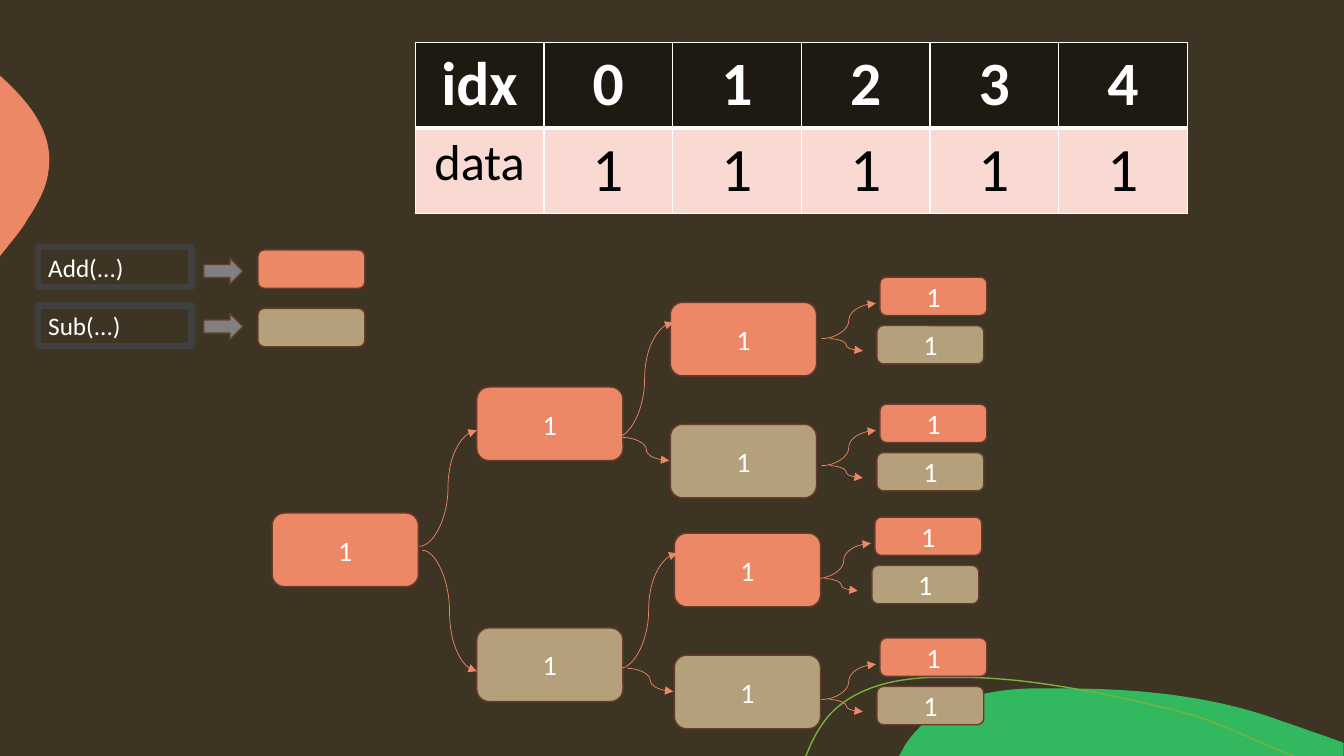
import pptx
import pptx.dml.color
import pptx.enum.shapes
import pptx.enum.text
import pptx.oxml.ns
import pptx.util
from lxml import etree

CORAL, TAN, RUST = "ED8866", "B4A07B", "683C2D"
WHITE, BLACK, GRAY = "FFFFFF", "000000", "808080"
KIND = pptx.enum.shapes.MSO_SHAPE
ALIGN = pptx.enum.text.PP_ALIGN
qn = pptx.oxml.ns.qn

SMALL = (10.6, 3.8)
LARGE = (14.5, 7.3)
ARROW = (3.9, 2.6)

GREEN_HILL = [
    (105.4, 68.3),
    [(112.8, 68.3), (120.4, 69), (127.3, 71.6)],
    [(128.6, 72), (129.8, 72.5), (131.1, 72.9)],
    [(133.3, 73.7)], [(133.3, 75)], [(89.2, 75)], [(89.8, 73.9)],
    [(90.2, 73.3), (90.6, 72.8), (91.1, 72.3)],
    [(93.9, 69.3), (98.2, 68.4), (102.3, 68.3)],
    [(103.3, 68.3), (104.3, 68.3), (105.4, 68.3)],
]
CORAL_BLOB = [
    (0, 7.5), [(0.1, 7.6)],
    [(3, 10.2), (5.4, 13.3), (4.8, 17)],
    [(4.6, 18.7), (3.7, 20.3), (2.7, 21.8)],
    [(2.4, 22.4), (1.7, 23.3), (0.8, 24.4)], [(0, 25.4)],
]
GREEN_ARC = [
    (79.9, 75), [(80, 74.9)],
    [(80.6, 73.3), (81.4, 71.9), (82.4, 70.8)],
    [(85, 68.1), (88.9, 67.3), (92.6, 67.2)], [(95.5, 67.2)],
    [(102.2, 67.2), (110, 68.9), (115.5, 70.2)],
    [(120.9, 71.5), (122.6, 72.7), (128.3, 75)],
]


def unit(count):
    """Length of a number of grid cells, ten to the inch."""
    return pptx.util.Inches(count / 10)


def color(code):
    return pptx.dml.color.RGBColor.from_string(code)


def paint(shape, fill=None, line=None, width=1):
    shape.shadow.inherit = False
    if fill:
        shape.fill.solid()
        shape.fill.fore_color.rgb = color(fill)
    else:
        shape.fill.background()
    if line:
        shape.line.color.rgb = color(line)
        shape.line.width = pptx.util.Pt(width)
    else:
        shape.line.fill.background()


def write(frame, text, size, ink=WHITE, bold=False, align=ALIGN.CENTER):
    frame.text = text
    para = frame.paragraphs[0]
    para.alignment = align
    font = para.runs[0].font
    font.name = "Calibri"
    font.size = pptx.util.Pt(size)
    font.bold = bold
    font.color.rgb = color(ink)


def bend(shape, parts):
    """Turn each segment given by three points into a Bezier curve."""
    for part, node in zip(parts, list(shape.element.iter(qn("a:lnTo")))):
        if len(part) == 3:
            node.tag = qn("a:cubicBezTo")
            for spot, (x, y) in enumerate(part[:2]):
                node.insert(spot, etree.Element(
                    qn("a:pt"), x=str(unit(x) - shape.left),
                    y=str(unit(y) - shape.top)))


def add_blob(slide, outline, fill=None, line=None):
    start, *parts = outline
    pen = slide.shapes.build_freeform(*map(unit, start))
    ends = [tuple(map(unit, part[-1])) for part in parts]
    pen.add_line_segments(ends, close=fill is not None)
    shape = pen.convert_to_shape()
    bend_parts = parts
    paint(shape, fill, line)
    bend(shape, bend_parts)


def add_shape(slide, kind, at, size, fill=None, line=RUST, width=1):
    shape = slide.shapes.add_shape(kind, *map(unit, (*at, *size)))
    paint(shape, fill, line, width)
    return shape


def add_node(slide, at, size, fill, text=""):
    node = add_shape(slide, KIND.ROUNDED_RECTANGLE, at, size, fill)
    if text:
        write(node.text_frame, text, 20)
        node.text_frame.vertical_anchor = pptx.enum.text.MSO_ANCHOR.MIDDLE


def add_arm(slide, ends):
    kind = pptx.enum.shapes.MSO_CONNECTOR.CURVE
    arm = slide.shapes.add_connector(kind, *map(unit, ends))
    arm.line.color.rgb = color(CORAL)
    arm.line.width = pptx.util.Pt(0.5)
    props = arm.element.spPr
    etree.SubElement(props.find(qn("a:ln")), qn("a:tailEnd"), type="triangle")
    etree.SubElement(props, qn("a:effectLst"))


def add_fork(slide, at, size, step, arms):
    """A coral and a tan node, with the arms that reach them."""
    x, y = at
    add_node(slide, at, size, CORAL, "1")
    add_node(slide, (x + step[0], y + step[1]), size, TAN, "1")
    for x1, y1, x2, y2 in arms:
        add_arm(slide, (x + x1, y + y1, x + x2, y + y2))


def add_edge(cell, side, width):
    props = cell._tc.get_or_add_tcPr()
    edge = etree.SubElement(props, qn("a:ln" + side), w=str(pptx.util.Pt(width)))
    fill = etree.SubElement(edge, qn("a:solidFill"))
    etree.SubElement(fill, qn("a:srgbClr"), val=WHITE)


def add_grid(slide, rows, at, size):
    frame = slide.shapes.add_table(
        len(rows), len(rows[0]), *map(unit, (*at, *size)))
    for r, row in enumerate(rows):
        head = r == 0
        for c, text in enumerate(row):
            cell = frame.table.cell(r, c)
            for side in "LRT":
                add_edge(cell, side, 1)
            add_edge(cell, "B", 3 if head else 1)
            cell.fill.solid()
            cell.fill.fore_color.rgb = color("1E1A12" if head else "F8DAD3")
            write(cell.text_frame, text, 36 if text == "data" else 44,
                  WHITE if head else BLACK, head)


def add_key(slide, row, label, fill, drop):
    add_node(slide, (25.6, row), SMALL, fill)
    box = add_shape(slide, KIND.RECTANGLE, (3.8, row - 0.3), (15.2, 4),
                    line="404040", width=4.5)
    write(box.text_frame, label, 18, align=ALIGN.LEFT)
    add_shape(slide, KIND.RIGHT_ARROW, (20.2, row + drop), ARROW, GRAY)


def main():
    deck = pptx.Presentation()
    deck.slide_width, deck.slide_height = unit(133.33), unit(75)
    slide = deck.slides.add_slide(deck.slide_layouts[6])
    slide.background.fill.solid()
    slide.background.fill.fore_color.rgb = color("3D3423")

    add_blob(slide, GREEN_HILL, fill="32B960")
    add_blob(slide, CORAL_BLOB, fill=CORAL)
    add_blob(slide, GREEN_ARC, line="77B33C")
    add_grid(slide, [["idx", *"01234"], ["data", *"11111"]],
             (41.2, 4.2), (76.6, 16.4))

    add_node(slide, (27, 50.9), LARGE, CORAL, "1")
    add_fork(slide, (47.3, 38.4), LARGE, (0, 23.9),
             [(-5.7, 15.8, 0, 4.3), (-5.4, 16.2, 0, 28.2)])
    for at in ((66.5, 30), (66.9, 52.9)):
        add_fork(slide, at, LARGE, (0, 12.1),
                 [(-5.4, 13.4, 0.3, 2), (-4.7, 13.4, -0.1, 15.7)])
    for at in ((87.3, 27.5), (87.3, 40.1), (86.8, 51.3), (87.3, 63.3)):
        add_fork(slide, at, SMALL, (-0.3, 4.8),
                 [(-5.8, 6.1, -0.4, 2.6), (-5, 6.1, -1.7, 7.3)])

    add_key(slide, 24.8, "Add(...)", CORAL, 0.8)
    add_key(slide, 30.6, "Sub(...)", TAN, 0.5)
    deck.save("out.pptx")


if __name__ == "__main__":
    main()
